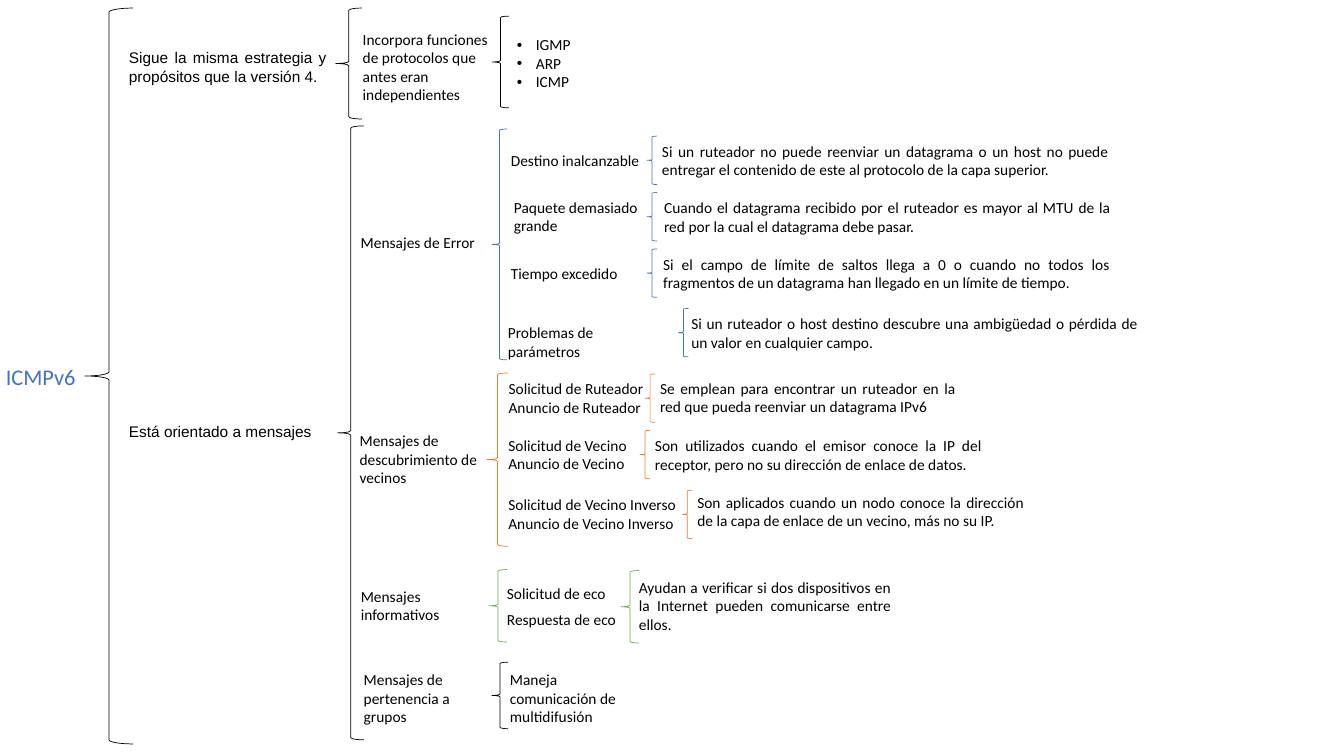
from pptx import Presentation
from pptx.dml.color import RGBColor
from pptx.enum import shapes, text
from pptx.oxml.ns import qn
from pptx.util import Pt
from lxml import etree

BLACK = RGBColor(0x00, 0x00, 0x00)
BLUE = RGBColor(0x44, 0x72, 0xC4)
ORANGE = RGBColor(0xED, 0x7D, 0x31)
GREEN = RGBColor(0x70, 0xAD, 0x47)

# Text boxes: wording, (left, middle, width) in points, number of lines, format
ROOT_TEXTS = [
    ("ICMPv6", (-2.9, 269, 73.4), 1, {"size": 16, "color": BLUE}),
    ("Sigue la misma estrategia y propósitos que la versión 4.",
     (85, 47.9, 155.5), 2, {"font": "Arial", "justify": True}),
    ("Incorpora funciones de protocolos que antes eran independientes",
     (252, 48.2, 108.7), 4, {}),
    ("IGMP\nARP\nICMP", (362.2, 45.4, 64), 3, {"justify": True, "bullet": True}),
    ("Está orientado a mensajes", (85, 308.5, 148.3), 1,
     {"font": "Arial", "justify": True}),
]
# Braces: left, middle, width, height in points
ROOT_BRACES = [
    (60.5, 268.6, 34.6, 525.6),
    (239.8, 45.4, 18.7, 79.2),
    (351.4, 44.3, 12.2, 65.5),
    (241.2, 309.2, 18.7, 438.5),
]

# Each row: terms, (left, middle, width), lines per term, term pitch,
# brace (left, width, height), definition, (left, middle, width), lines
BRANCHES = [
    {"label": ("Mensajes de Error", (250.6, 173.2, 100), 1),
     "brace": (351.4, 174.6, 10.8, 164.9), "color": BLUE,
     "rows": [
         (["Destino inalcanzable"], (357.8, 114.5, 108.7), 1, 0, (462.2, 7.2, 34.6),
          "Si un ruteador no puede reenviar un datagrama o un host no puede "
          "entregar el contenido de este al protocolo de la capa superior.",
          (465.8, 114.8, 333.4), 2),
         (["Paquete demasiado grande"], (360, 154.8, 114.5), 2, 0, (462.2, 7.2, 34.6),
          "Cuando el datagrama recibido por el ruteador es mayor al MTU de la "
          "red por la cual el datagrama debe pasar.",
          (467.3, 155.2, 333.4), 2),
         (["Tiempo excedido"], (357.8, 195.1, 102.2), 1, 0, (462.2, 7.2, 34.6),
          "Si el campo de límite de saltos llega a 0 o cuando no todos los "
          "fragmentos de un datagrama han llegado en un límite de tiempo.",
          (466.6, 195.5, 333.4), 2),
         (["Problemas de parámetros"], (355.7, 237.6, 129.6), 1, 0, (484.6, 7.2, 34.6),
          "Si un ruteador o host destino descubre una ambigüedad o pérdida de "
          "un valor en cualquier campo.",
          (486.7, 238, 333.4), 2),
     ]},
    {"label": ("Mensajes de descubrimiento de vecinos", (249.8, 328.3, 102.2), 3),
     "brace": (347.8, 328.3, 15.1, 123.8), "color": ORANGE,
     "rows": [
         (["Solicitud de Ruteador", "Anuncio de Ruteador"], (356.2, 284.4, 116), 1, 13.4,
          (460.8, 7.2, 34.6),
          "Se emplean para encontrar un ruteador en la red que pueda reenviar "
          "un datagrama IPv6",
          (464.4, 284, 225.4), 2),
         (["Solicitud de Vecino", "Anuncio de Vecino"], (356, 324.7, 116), 1, 13.4,
          (457.2, 7.2, 34.6),
          "Son utilizados cuando el emisor conoce la IP del receptor, pero no "
          "su dirección de enlace de datos.",
          (460.8, 325.1, 247.7), 2),
         (["Solicitud de Vecino Inverso", "Anuncio de Vecino Inverso"],
          (356, 367.4, 142), 1, 13.4, (487.4, 7.2, 34.6),
          "Son aplicados cuando un nodo conoce la dirección de la capa de "
          "enlace de un vecino, más no su IP.",
          (491, 365.4, 247.7), 2),
     ]},
    {"label": ("Mensajes informativos", (250.6, 432.4, 85), 2),
     "brace": (349.2, 432.7, 13, 51.8), "color": GREEN,
     "rows": [
         (["Solicitud de eco", "Respuesta de eco"], (355, 433.4, 108.7), 1, 18.7,
          (443.5, 13, 51.8),
          "Ayudan a verificar si dos dispositivos en la Internet pueden "
          "comunicarse entre ellos.",
          (449.3, 432.7, 194.4), 3),
     ]},
    {"label": ("Mensajes de pertenencia a grupos", (252.7, 499, 99.4), 3),
     "brace": (351.4, 496.8, 11.5, 47.5), "color": BLACK,
     "rows": [
         (["Maneja comunicación de multidifusión"], (357.1, 499, 102.2), 3, 0,
          None, None, None, 0),
     ]},
]


def add_text(parent, wording, place, lines, font="Calibri", size=11, color=BLACK,
             justify=False, bullet=False):
    """Add a text box centred vertically on the middle given in place."""
    left, middle, width = place
    height = 7.2 + lines * size * 1.21
    box = parent.add_textbox(Pt(left), Pt(middle - height / 2), Pt(width), Pt(height))
    frame = box.text_frame
    frame.word_wrap = True
    frame.auto_size = text.MSO_AUTO_SIZE.SHAPE_TO_FIT_TEXT
    for index, line in enumerate(wording.split("\n")):
        paragraph = frame.add_paragraph() if index else frame.paragraphs[0]
        if justify:
            paragraph.alignment = text.PP_ALIGN.JUSTIFY
        if bullet:
            properties = paragraph._p.get_or_add_pPr()
            properties.set("marL", str(Pt(13.5)))
            properties.set("indent", str(-Pt(13.5)))
            etree.SubElement(properties, qn("a:buFont")).set("typeface", "Arial")
            etree.SubElement(properties, qn("a:buChar")).set("char", "•")
        run = paragraph.add_run()
        run.text = line
        run.font.name = font
        run.font.size = Pt(size)
        run.font.color.rgb = color


def add_brace(parent, left, middle, width, height, color=BLACK):
    brace = parent.add_shape(shapes.MSO_SHAPE.LEFT_BRACE, Pt(left),
                             Pt(middle - height / 2), Pt(width), Pt(height))
    brace.shadow.inherit = False
    brace.fill.background()
    brace.line.color.rgb = color
    brace.line.width = Pt(0.5)


def add_branch(parent, branch):
    add_text(parent, *branch["label"])
    add_brace(parent, *branch["brace"], color=branch["color"])
    for terms, place, lines, pitch, brace, definition, definition_place, count in branch["rows"]:
        left, middle, width = place
        for index, term in enumerate(terms):
            term_middle = middle + (index - (len(terms) - 1) / 2) * pitch
            add_text(parent, term, (left, term_middle, width), lines)
        if definition:
            brace_left, brace_width, brace_height = brace
            add_brace(parent, brace_left, middle, brace_width, brace_height,
                      color=branch["color"])
            add_text(parent, definition, definition_place, count, justify=True)


def main():
    presentation = Presentation()
    presentation.slide_width = Pt(960)
    presentation.slide_height = Pt(540)
    slide = presentation.slides.add_slide(presentation.slide_layouts[6])
    for wording, place, lines, style in ROOT_TEXTS:
        add_text(slide.shapes, wording, place, lines, **style)
    for brace in ROOT_BRACES:
        add_brace(slide.shapes, *brace)
    for branch in BRANCHES:
        add_branch(slide.shapes.add_group_shape().shapes, branch)
    presentation.save("out.pptx")


if __name__ == "__main__":
    main()
